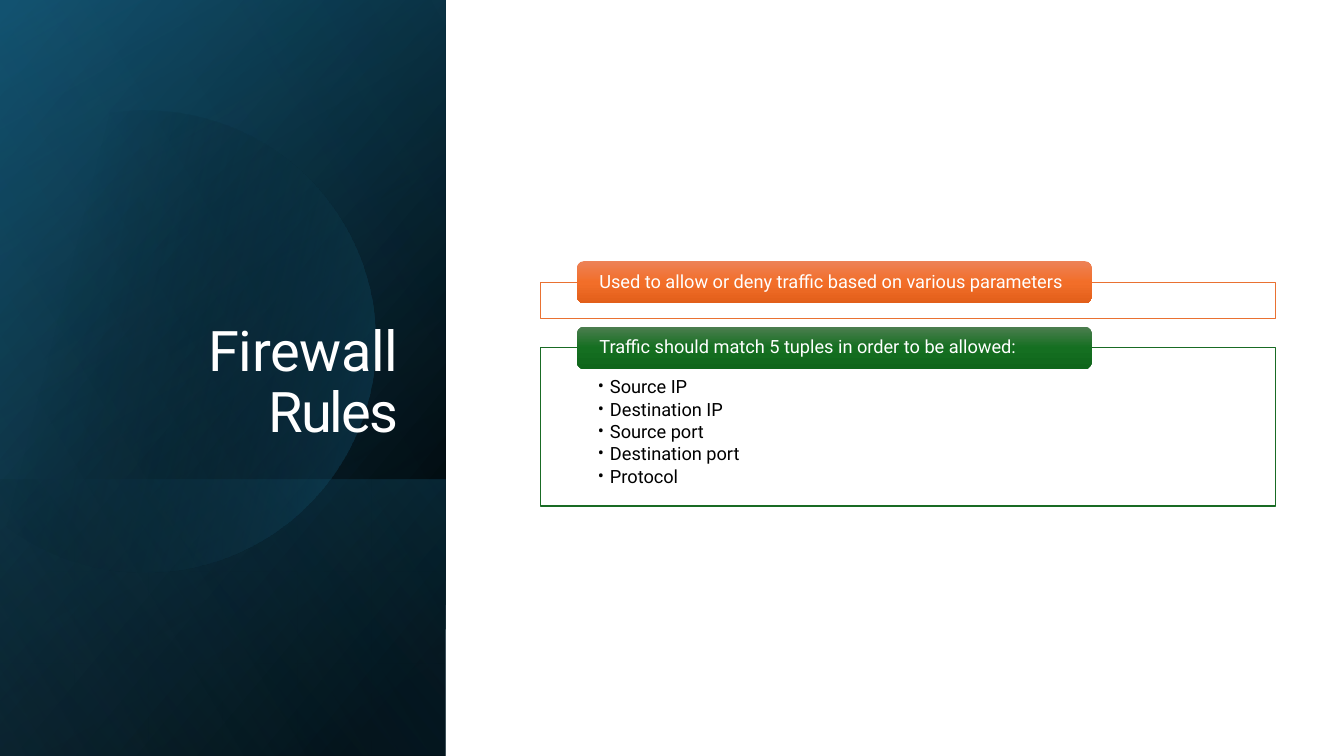
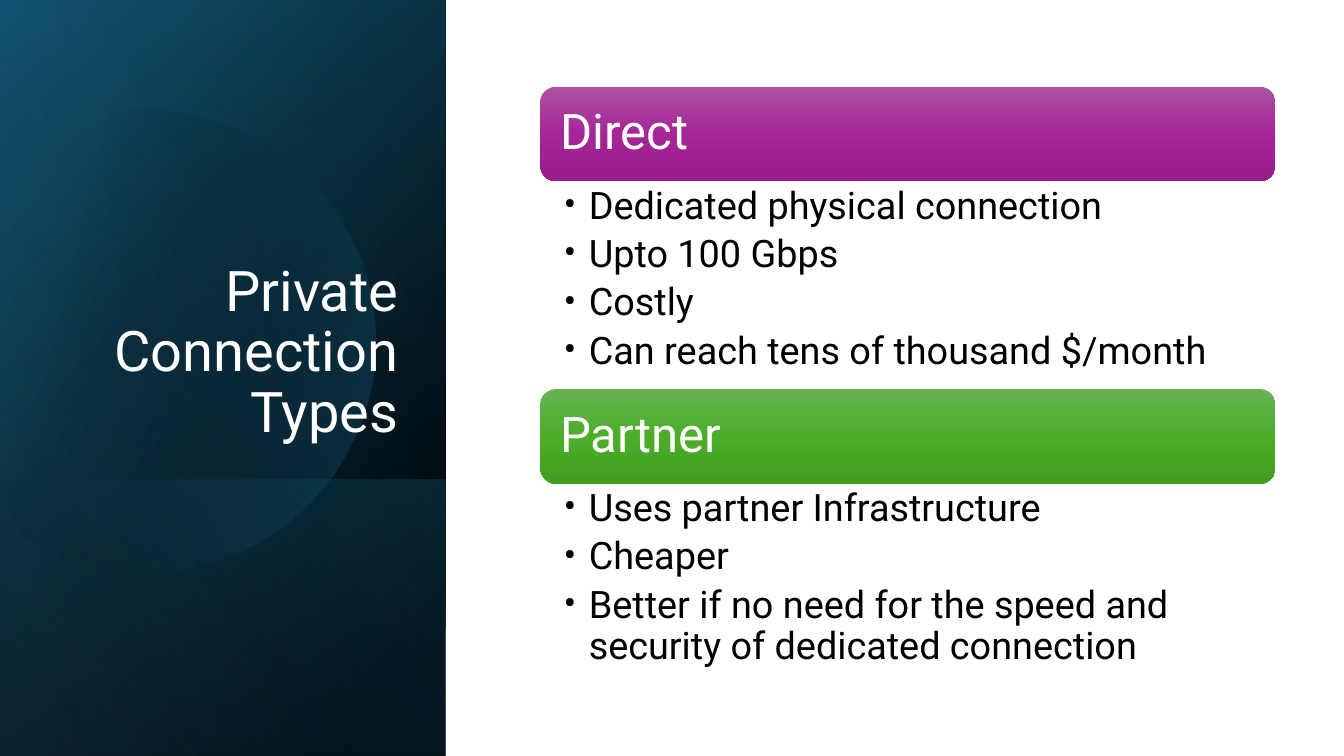
import math

from lxml import etree
from pptx import Presentation
from pptx.dml.color import RGBColor
from pptx.enum.shapes import MSO_SHAPE
from pptx.enum.text import MSO_ANCHOR, MSO_AUTO_SIZE, PP_ALIGN
from pptx.oxml.ns import qn
from pptx.util import Inches, Pt

RECTANGLE, ROUNDED = MSO_SHAPE.RECTANGLE, MSO_SHAPE.ROUNDED_RECTANGLE
TOP, MIDDLE, BOTTOM = MSO_ANCHOR.TOP, MSO_ANCHOR.MIDDLE, MSO_ANCHOR.BOTTOM
LEFT, RIGHT = PP_ALIGN.LEFT, PP_ALIGN.RIGHT
NO_AUTOFIT = MSO_AUTO_SIZE.NONE

WHITE = RGBColor(0xFF, 0xFF, 0xFF)
BLACK = RGBColor(0x00, 0x00, 0x00)
NAVY = RGBColor(0x10, 0x48, 0x62)
TEAL = RGBColor(0x15, 0x60, 0x82)
SKY = RGBColor(0x46, 0xB1, 0xE1)
ORANGE = RGBColor(0xE9, 0x71, 0x32)
GREEN = RGBColor(0x19, 0x6B, 0x24)
ORANGE_SHADES = (RGBColor(0xED, 0x82, 0x57), RGBColor(0xF2, 0x6E, 0x29), RGBColor(0xE2, 0x5F, 0x1A))
GREEN_SHADES = (RGBColor(0x4D, 0x7E, 0x50), RGBColor(0x15, 0x6F, 0x21), RGBColor(0x0F, 0x66, 0x1B))
PURPLE_SHADES = (RGBColor(0xAC, 0x53, 0xA0), RGBColor(0xA6, 0x25, 0x98), RGBColor(0x99, 0x1C, 0x8B))
LIME_SHADES = (RGBColor(0x66, 0xB3, 0x54), RGBColor(0x4B, 0xAD, 0x28), RGBColor(0x40, 0x9F, 0x1E))

FONT = "Roboto"
SLIDE_W, SLIDE_H = 13.33, 7.5
PANEL_W = 4.42
FOOT_H = 2.74
CONTENT_X, CONTENT_W = 5.36, 7.29
DISC_X, DISC_Y, DISC_R = 1.43, 3.39, 2.29


def write(frame, paragraphs, size=13, color=WHITE, align=LEFT, anchor=TOP,
          insets=(0.1, 0.05, 0.1, 0.05), space_after=0, hang=0):
    """Fill a text frame; a paragraph is a string or a list of (text, tracking) runs."""
    frame.word_wrap = True
    frame.auto_size = NO_AUTOFIT
    frame.vertical_anchor = anchor
    (frame.margin_left, frame.margin_top,
     frame.margin_right, frame.margin_bottom) = map(Inches, insets)
    for index, content in enumerate(paragraphs):
        paragraph = frame.add_paragraph() if index else frame.paragraphs[0]
        if hang:
            properties = paragraph._p.get_or_add_pPr()
            properties.set("marL", str(Inches(hang)))
            properties.set("indent", str(-Inches(hang)))
            etree.SubElement(properties, qn("a:buFont"), typeface=FONT)
            etree.SubElement(properties, qn("a:buChar"), char="•")
        paragraph.alignment = align
        paragraph.line_spacing = 0.9
        paragraph.space_after = Pt(space_after)
        for text, tracking in [(content, 0)] if isinstance(content, str) else content:
            run = paragraph.add_run()
            run.text = text
            run.font.name = FONT
            run.font.size = Pt(size)
            run.font.color.rgb = color
            if tracking:
                run._r.get_or_add_rPr().set("spc", str(round(tracking * 100)))


def paint_gradient(shape, angle, stops):
    """Fill a shape with (position, colour, opacity) stops in percent, with no line."""
    shape.shadow.inherit = False
    shape.line.fill.background()
    shape.fill.gradient()
    shape.fill.gradient_angle = 360 - angle
    stop_list = shape.element.spPr.find(qn("a:gradFill")).find(qn("a:gsLst"))
    for old_stop in list(stop_list):
        stop_list.remove(old_stop)
    for position, color, opacity in stops:
        stop = etree.SubElement(stop_list, qn("a:gs"), pos=str(position * 1000))
        tint = etree.SubElement(stop, qn("a:srgbClr"), val=str(color))
        if opacity < 100:
            etree.SubElement(tint, qn("a:alpha"), val=str(opacity * 1000))


def add_box(slide, kind, left, top, width, height):
    """Add a preset shape placed in inches."""
    return slide.shapes.add_shape(kind, *map(Inches, (left, top, width, height)))


def add_glow(slide, top, height, angle, stops):
    """Add a panel-wide gradient layer, turned a quarter and mirrored."""
    shift = (PANEL_W - height) / 2
    layer = add_box(slide, RECTANGLE, shift, top - shift, height, PANEL_W)
    layer.rotation = 90
    layer.element.spPr.find(qn("a:xfrm")).set("flipH", "1")
    paint_gradient(layer, angle, stops)


def add_disc(slide):
    """Add the faint disc cut off by the left slide edge."""
    reach = math.acos(-DISC_X / DISC_R)
    steps = 120
    angles = [reach * (2 * step / steps - 1) for step in range(steps + 1)]
    points = [(Inches(DISC_X + DISC_R * math.cos(angle)),
               Inches(DISC_Y + DISC_R * math.sin(angle))) for angle in angles]
    builder = slide.shapes.build_freeform(*points[0])
    builder.add_line_segments(points[1:], close=True)
    paint_gradient(builder.convert_to_shape(), 14, [(22, BLACK, 0), (100, TEAL, 43)])


def add_titled_slide(deck, title_runs):
    """Add a slide with the dark side panel and its right-aligned title."""
    slide = deck.slides.add_slide(deck.slide_layouts[5])
    add_glow(slide, 0, SLIDE_H, 50, [(8, BLACK, 100), (100, NAVY, 100)])
    add_glow(slide, 0, SLIDE_H, 30, [(0, BLACK, 0), (99, TEAL, 46)])
    add_glow(slide, SLIDE_H - FOOT_H, FOOT_H, 130, [(2, TEAL, 29), (100, BLACK, 30)])
    add_disc(slide)
    add_glow(slide, 0, SLIDE_H, 120, [(0, BLACK, 0), (99, SKY, 11)])
    title = slide.shapes.title
    title.left, title.top, title.width, title.height = map(Inches, (0.64, 1.84, 3.41, 2.62))
    write(title.text_frame, [title_runs], size=40, align=RIGHT, anchor=BOTTOM)
    slide.shapes.element.append(title.element)
    return slide


def add_heading(slide, text, shades, left, top, width, height, size, inset):
    """Add a rounded heading bar with a vertical gradient."""
    heading = add_box(slide, ROUNDED, left, top, width, height)
    paint_gradient(heading, 90, zip((0, 50, 100), shades, (100, 100, 100)))
    write(heading.text_frame, [text], size=size, anchor=MIDDLE, insets=(inset, 0, inset, 0))


def add_framed_sections(slide, top, sections):
    """Stack outlined boxes, each with a heading straddling its upper edge."""
    heading_h, gap = 0.42, 0.08
    for text, shades, outline, height, bullets in sections:
        box_top = top + heading_h / 2
        frame = add_box(slide, RECTANGLE, CONTENT_X, box_top, CONTENT_W, height)
        frame.shadow.inherit = False
        frame.fill.solid()
        frame.fill.fore_color.rgb = WHITE
        frame.line.color.rgb = outline
        frame.line.width = Pt(1)
        write(frame.text_frame, bullets, color=BLACK, insets=(0.57, 0.3, 0.57, 0.1),
              space_after=1.9, hang=0.12)
        add_heading(slide, text, shades, CONTENT_X + 0.05 * CONTENT_W, top,
                    0.7 * CONTENT_W, heading_h, 13, 0.2)
        top = box_top + height + gap


def add_open_sections(slide, top, sections):
    """Stack full-width headings, each followed by its bullets."""
    heading_h = 0.94
    for text, shades, height, bullets in sections:
        add_heading(slide, text, shades, CONTENT_X, top, CONTENT_W, heading_h, 35, 0.15)
        top += heading_h
        area = slide.shapes.add_textbox(*map(Inches, (CONTENT_X, top, CONTENT_W, height)))
        write(area.text_frame, bullets, size=27, color=BLACK,
              insets=(0.23, 0.05, 0.27, 0.05), space_after=5.4, hang=0.25)
        top += height


def main():
    """Build and save the deck."""
    deck = Presentation()
    deck.slide_width, deck.slide_height = Inches(SLIDE_W), Inches(SLIDE_H)

    firewall = add_titled_slide(deck, [("Firewall ", -0.2), ("Rules", -1.4)])
    add_framed_sections(firewall, 2.59, [
        ("Used to allow or deny traffic based on various parameters",
         ORANGE_SHADES, ORANGE, 0.36, []),
        ("Traffic should match 5 tuples in order to be allowed:",
         GREEN_SHADES, GREEN, 1.57,
         ["Source IP", "Destination IP", "Source port", "Destination port", "Protocol"]),
    ])

    connections = add_titled_slide(deck, [("Private Connection Types", 0)])
    add_open_sections(connections, 0.86, [
        ("Direct", PURPLE_SHADES, 2.06,
         ["Dedicated physical connection", "Upto 100 Gbps", "Costly",
          "Can reach tens of thousand $/month"]),
        ("Partner", LIME_SHADES, 1.94,
         ["Uses partner Infrastructure", "Cheaper",
          "Better if no need for the speed and security of dedicated connection"]),
    ])
    deck.save("out.pptx")


if __name__ == "__main__":
    main()
